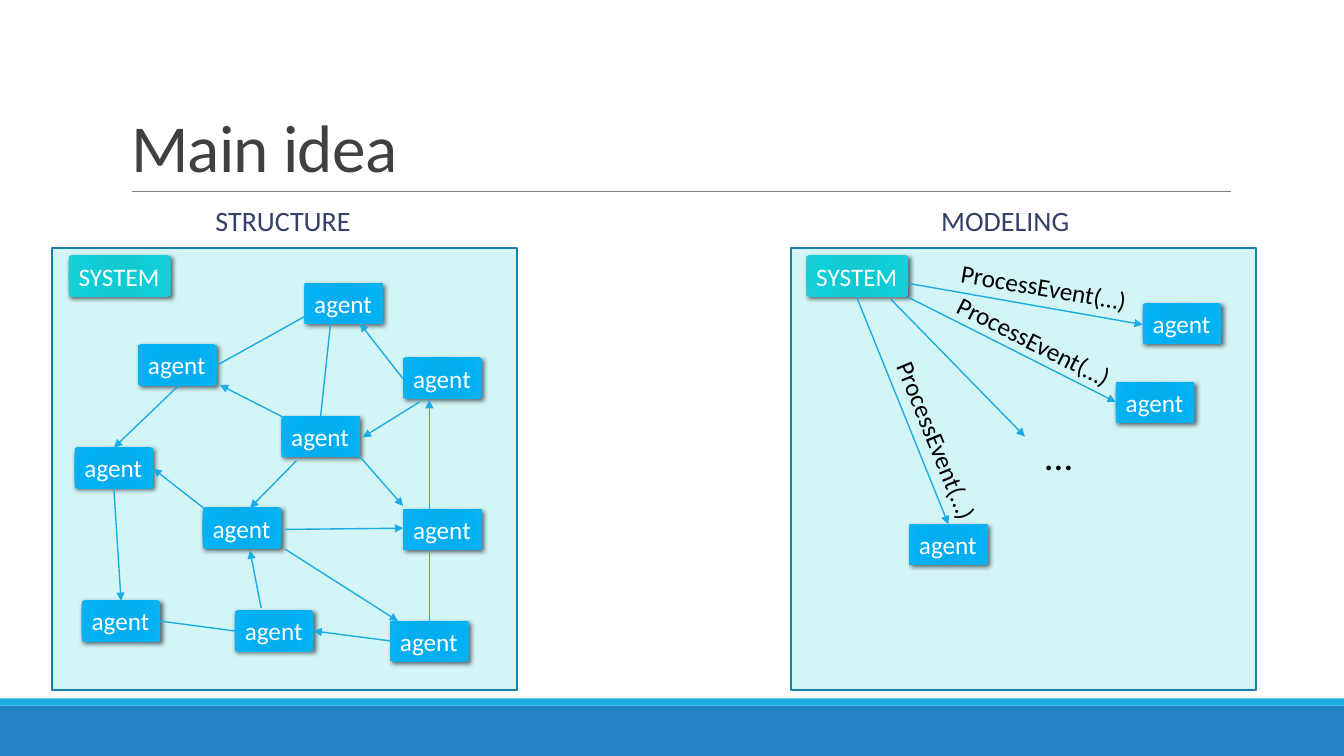
from lxml.etree import SubElement
from pptx import Presentation
from pptx.dml.color import RGBColor
from pptx.enum.shapes import MSO_CONNECTOR, MSO_SHAPE
from pptx.enum.text import MSO_ANCHOR, MSO_AUTO_SIZE, PP_ALIGN
from pptx.oxml import parse_xml
from pptx.oxml.ns import nsdecls, qn
from pptx.util import Cm, Pt

COLOURS = {
    "footer": "2683C6", "accent": "1CADE4", "rule": "808080",
    "panel": "D3F5F6", "panel edge": "1580A9",
    "title": "404040", "heading": "344068", "label": "000000", "tag text": "FFFFFF",
}
GRADIENTS = {
    "SYSTEM": ["0ECBD5", "12CAD3", "0FD0DA", "20CBD4"],
    "agent": ["00ADEF", "03ADEE", "00B1F5", "12B1EE"],
}
STOPS = [0, 34, 70, 100]
TAG_WIDTHS = {"SYSTEM": 2.57, "agent": 1.98}
TAG_HEIGHT = 1.02

# Left and top of each tag, in cm
TAGS = {
    "SYSTEM": [(1.73, 6.45), (20.32, 6.45)],
    "agent": [
        (7.67, 7.14), (3.48, 8.69), (7.09, 10.49), (1.88, 11.28), (10.16, 9.02),
        (5.11, 12.8), (10.16, 12.83), (2.06, 15.14), (5.92, 15.39), (9.83, 15.65),
        (28.8, 7.65), (28.12, 9.63), (22.91, 13.21),
    ],
}
# Start x, start y, end x, end y, in cm
PLAIN_LINKS = [
    (5.49, 9.19, 7.67, 7.98), (8.33, 8.15, 8.08, 10.49),
    (10.82, 13.84, 10.82, 15.65), (4.04, 15.65, 5.92, 15.9),
]
ARROWS = [
    (7.47, 11.61, 6.3, 12.8), (10.82, 12.85, 10.82, 10.08), (10.16, 9.55, 9.07, 8.15),
    (7.19, 13.34, 10.16, 13.31), (7.19, 13.84, 10.03, 15.65), (9.83, 16.15, 7.9, 15.9),
    (6.58, 15.32, 6.3, 13.87), (2.87, 12.32, 3.05, 15.14), (5.13, 12.8, 3.86, 11.81),
    (4.52, 9.7, 2.87, 11.28), (7.09, 10.49, 5.54, 9.7), (10.57, 10.13, 9.14, 11.02),
    (9.07, 11.51, 10.16, 12.75),
    (22.89, 7.14, 28.8, 8.18), (22.89, 7.49, 28.12, 10.13),
    (21.59, 7.49, 23.9, 13.21), (22.45, 7.54, 25.83, 11),
]
# Text, left, top, width, height, rotation, size, colour
TEXTS = [
    ("STRUCTURE", 5.18, 4.88, 4.65, 1.47, 0, 20, "heading"),
    ("MODELING", 23.47, 4.88, 4.65, 1.47, 0, 20, "heading"),
    ("ProcessEvent(…)", 23.95, 6.73, 4.78, 1.02, 9.9, 18, "label"),
    ("ProcessEvent(…)", 23.7, 8.1, 4.78, 1.02, 26.7, 18, "label"),
    ("ProcessEvent(…)", 21.23, 10.62, 4.78, 1.02, 67.7, 18, "label"),
    ("…", 26.09, 10.74, 1.19, 1.45, 0, 28, "label"),
]


def write(shape, text, size, colour):
    """Put one left-aligned Calibri paragraph into the shape and return it."""
    para = shape.text_frame.paragraphs[0]
    para.text = text
    para.alignment = PP_ALIGN.LEFT
    para.font.name = "Calibri"
    para.font.size = Pt(size)
    para.font.color.rgb = RGBColor.from_string(COLOURS[colour])
    return para


def add_line(x1, y1, x2, y2, colour, width):
    line = page.shapes.add_connector(
        MSO_CONNECTOR.STRAIGHT, Cm(x1), Cm(y1), Cm(x2), Cm(y2))
    line.line.color.rgb = RGBColor.from_string(COLOURS[colour])
    line.line.width = Pt(width)
    SubElement(line._element.spPr, qn("a:effectLst"))
    return line


deck = Presentation()
deck.slide_width, deck.slide_height = Cm(33.87), Cm(19.05)
page = deck.slides.add_slide(deck.slide_layouts[5])

title = page.shapes.title
title.left, title.top, title.width, title.height = Cm(3.05), Cm(0.79), Cm(27.94), Cm(4.04)
title.text_frame.vertical_anchor = MSO_ANCHOR.BOTTOM
title.text_frame.auto_size = MSO_AUTO_SIZE.NONE
para = write(title, "Main idea", 48, "title")
para.line_spacing = 0.85
para.runs[0]._r.get_or_add_rPr().set("spc", "-50")

# Footer bars and the two panels
for left, top, width, height, fill, edge in [
    (0, 17.78, 33.87, 1.27, "footer", None),
    (0, 17.6, 33.87, 0.18, "accent", None),
    (1.32, 6.25, 11.71, 11.13, "panel", "panel edge"),
    (19.94, 6.25, 11.71, 11.13, "panel", "panel edge"),
]:
    box = page.shapes.add_shape(
        MSO_SHAPE.RECTANGLE, Cm(left), Cm(top), Cm(width), Cm(height))
    box.shadow.inherit = False
    box.fill.solid()
    box.fill.fore_color.rgb = RGBColor.from_string(COLOURS[fill])
    if edge:
        box.line.color.rgb = RGBColor.from_string(COLOURS[edge])
        box.line.width = Pt(1.25)
    else:
        box.line.fill.background()
add_line(3.33, 4.83, 31.01, 4.83, "rule", 0.5)

for name, places in TAGS.items():
    stops = "".join(
        f'<a:gs pos="{stop * 1000}"><a:srgbClr val="{colour}"/></a:gs>'
        for stop, colour in zip(STOPS, GRADIENTS[name]))
    for left, top in places:
        tag = page.shapes.add_shape(
            MSO_SHAPE.RECTANGLE, Cm(left), Cm(top), Cm(TAG_WIDTHS[name]), Cm(TAG_HEIGHT))
        tag.line.fill.background()
        tag.shadow.inherit = False
        properties = tag._element.spPr
        properties.find(qn("a:ln")).addprevious(parse_xml(
            f'<a:gradFill {nsdecls("a")}><a:gsLst>{stops}</a:gsLst><a:path path="circle">'
            '<a:fillToRect l="100000" t="100000" r="100000" b="100000"/>'
            '</a:path></a:gradFill>'))
        properties.find(qn("a:effectLst")).append(parse_xml(
            f'<a:outerShdw {nsdecls("a")} blurRad="44450" dist="25400" dir="2700000">'
            '<a:srgbClr val="000000"><a:alpha val="60000"/></a:srgbClr></a:outerShdw>'))
        tag.text_frame.word_wrap = False
        tag.text_frame.vertical_anchor = MSO_ANCHOR.TOP
        write(tag, name, 18, "tag text")

for link in PLAIN_LINKS:
    add_line(*link, "accent", 1)
for link in ARROWS:
    arrow = add_line(*link, "accent", 1)
    SubElement(arrow.line._get_or_add_ln(), qn("a:tailEnd"), type="triangle")

for text, left, top, width, height, rotation, size, colour in TEXTS:
    box = page.shapes.add_textbox(Cm(left), Cm(top), Cm(width), Cm(height))
    box.rotation = rotation
    box.text_frame.word_wrap = colour == "heading"
    para = write(box, text, size, colour)
    if colour == "heading":
        box.text_frame.vertical_anchor = MSO_ANCHOR.MIDDLE
        para.line_spacing = 0.9
        para.space_before, para.space_after = Pt(12), Pt(2)

deck.save("out.pptx")
